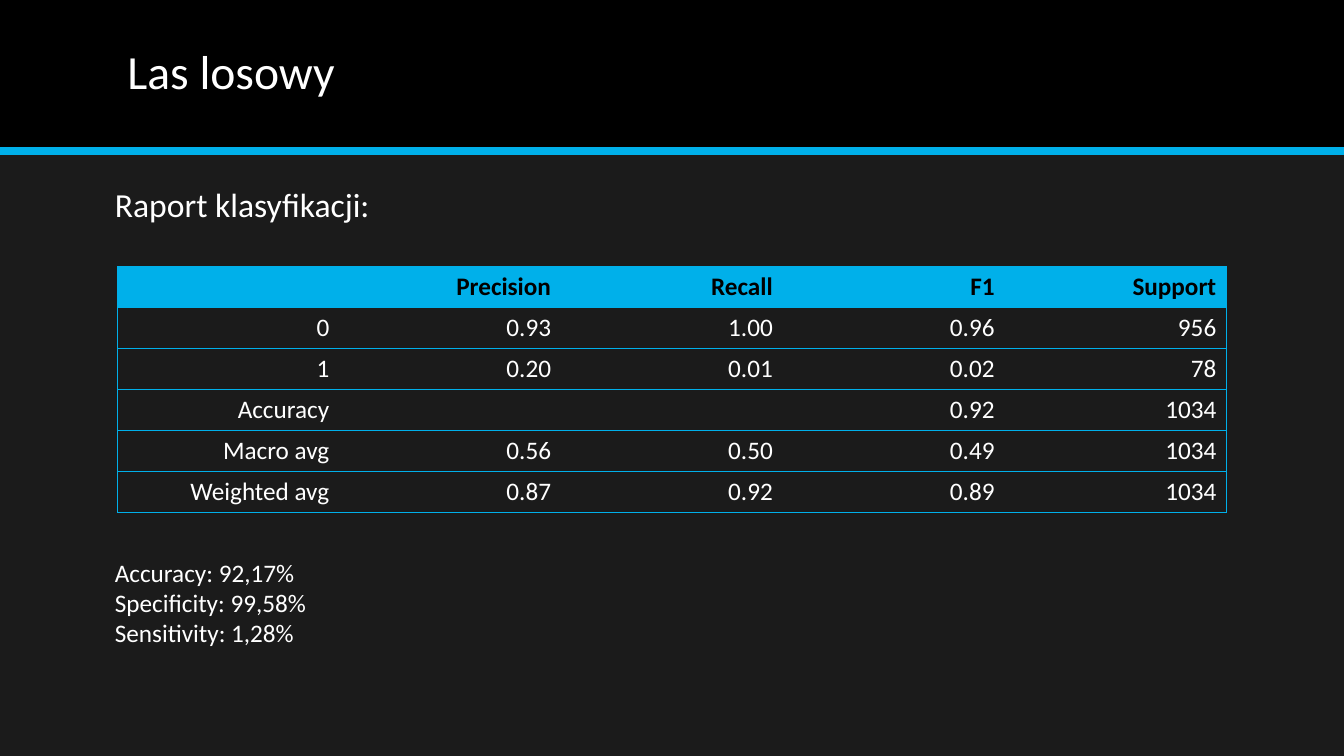
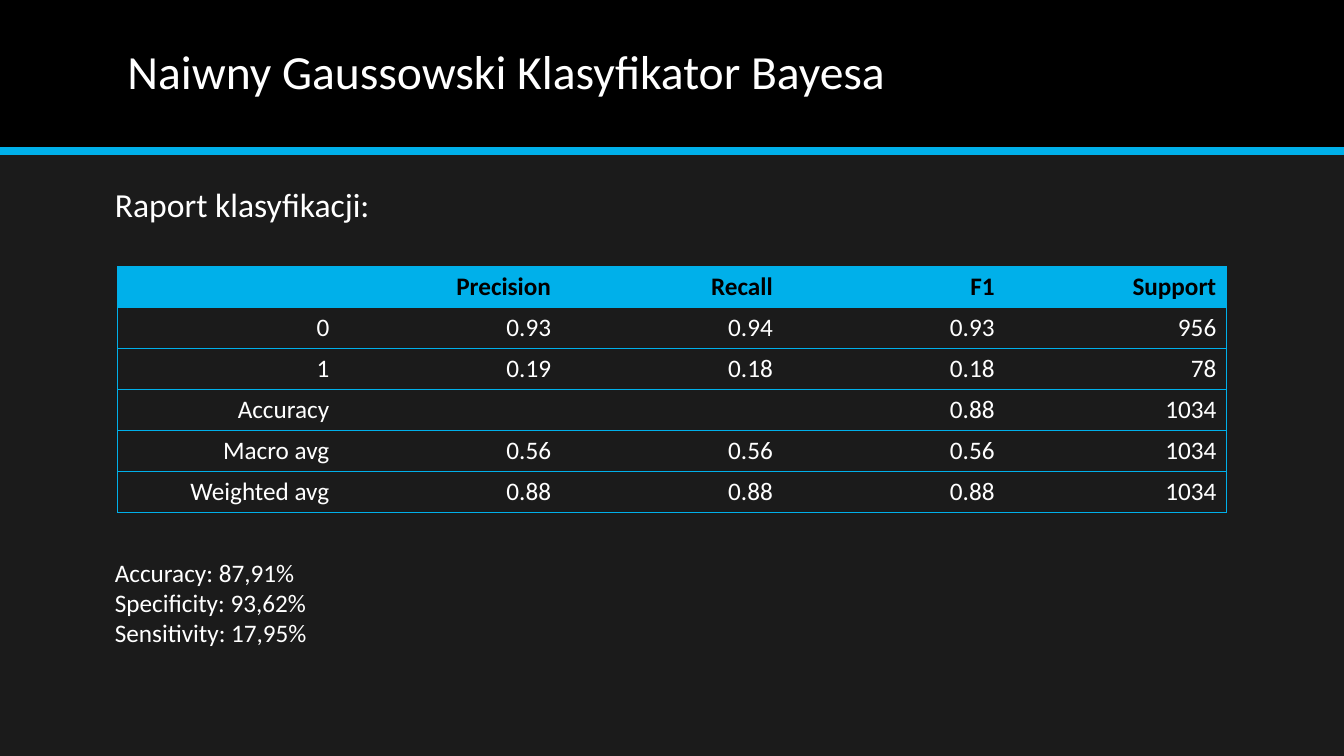
from lxml.etree import SubElement
from pptx import Presentation
from pptx.dml.color import RGBColor
from pptx.enum.shapes import MSO_CONNECTOR, MSO_SHAPE
from pptx.enum.text import MSO_ANCHOR, PP_ALIGN
from pptx.oxml.ns import qn
from pptx.util import Emu, Pt

PX = 9525
SLIDE_W, SLIDE_H = 1280, 720
HEADER_BOX = (0, 0, SLIDE_W, 144)
HEADING_BOX = (100, 170, 1068, 48)
TABLE_BOX = (112, 254, 1056, 234)
METRICS_BOX = (100, 526, 1056, 97)

FONT = "Calibri"
BACKGROUND = "1B1B1B"
BLACK = "000000"
WHITE = "FFFFFF"
ACCENT = "00B0EA"

COLUMNS = ["", "Precision", "Recall", "F1", "Support"]
REPORTS = [
    {
        "title": "Las losowy",
        "rows": [
            ["0", "0.93", "1.00", "0.96", "956"],
            ["1", "0.20", "0.01", "0.02", "78"],
            ["Accuracy", "", "", "0.92", "1034"],
            ["Macro avg", "0.56", "0.50", "0.49", "1034"],
            ["Weighted avg", "0.87", "0.92", "0.89", "1034"],
        ],
        "metrics": ["Accuracy: 92,17%", "Specificity: 99,58%", "Sensitivity: 1,28%"],
    },
    {
        "title": "Naiwny Gaussowski Klasyfikator Bayesa",
        "rows": [
            ["0", "0.93", "0.94", "0.93", "956"],
            ["1", "0.19", "0.18", "0.18", "78"],
            ["Accuracy", "", "", "0.88", "1034"],
            ["Macro avg", "0.56", "0.56", "0.56", "1034"],
            ["Weighted avg", "0.88", "0.88", "0.88", "1034"],
        ],
        "metrics": ["Accuracy: 87,91%", "Specificity: 93,62%", "Sensitivity: 17,95%"],
    },
]


def px(*lengths):
    return [Emu(round(n * PX)) for n in lengths]


def rgb(color):
    return RGBColor.from_string(color)


def style(p, size, color=WHITE, bold=False):
    p.font.name = FONT
    p.font.size = Pt(size)
    p.font.bold = bold
    p.font.color.rgb = rgb(color)


def add_text(slide, box, lines, size, anchor=MSO_ANCHOR.TOP, spacing=None):
    tf = slide.shapes.add_textbox(*px(*box)).text_frame
    tf.word_wrap = True
    tf.vertical_anchor = anchor
    tf.text = "\n".join(lines)
    for p in tf.paragraphs:
        p.line_spacing = spacing
        style(p, size)


def add_header(slide, box, title):
    x, y, w, h = box
    band = slide.shapes.add_shape(MSO_SHAPE.RECTANGLE, *px(*box))
    band.shadow.inherit = False
    band.fill.solid()
    band.fill.fore_color.rgb = rgb(BLACK)
    band.line.fill.background()
    rule = slide.shapes.add_connector(MSO_CONNECTOR.STRAIGHT, *px(x, y + h, x + w, y + h))
    rule.line.color.rgb = rgb(ACCENT)
    rule.line.width = Pt(6)
    SubElement(rule._element.spPr, qn("a:effectLst"))
    add_text(slide, (x + 112, y + 13, w - 224, h - 29), [title], 34, MSO_ANCHOR.MIDDLE, 0.9)


def set_borders(cell, visible):
    tcPr = cell._tc.get_or_add_tcPr()
    for side in "LRTB":
        ln = SubElement(tcPr, qn(f"a:ln{side}"), w=str(Pt(0.5)))
        if side in visible:
            fill = SubElement(ln, qn("a:solidFill"))
            SubElement(fill, qn("a:srgbClr"), val=ACCENT)
        else:
            SubElement(ln, qn("a:noFill"))


def add_report_table(slide, box, rows):
    data = [COLUMNS] + rows
    last = len(COLUMNS) - 1
    table = slide.shapes.add_table(len(data), len(COLUMNS), *px(*box)).table
    table.horz_banding = False
    for i, values in enumerate(data):
        header = i == 0
        for j, value in enumerate(values):
            cell = table.cell(i, j)
            set_borders(cell, "TB" + ("L" if j == 0 else "") + ("R" if j == last else ""))
            if header:
                cell.fill.solid()
                cell.fill.fore_color.rgb = rgb(ACCENT)
            else:
                cell.fill.background()
            cell.text = value
            p = cell.text_frame.paragraphs[0]
            p.alignment = PP_ALIGN.RIGHT
            style(p, 18, BLACK if header else WHITE, header)


def add_report_slide(prs, report):
    slide = prs.slides.add_slide(prs.slide_layouts[6])
    add_header(slide, HEADER_BOX, report["title"])
    add_report_table(slide, TABLE_BOX, report["rows"])
    add_text(slide, METRICS_BOX, report["metrics"], 18)
    add_text(slide, HEADING_BOX, ["Raport klasyfikacji:"], 24)


def main():
    prs = Presentation()
    prs.slide_width, prs.slide_height = px(SLIDE_W, SLIDE_H)
    fill = prs.slide_master.background.fill
    fill.solid()
    fill.fore_color.rgb = rgb(BACKGROUND)
    for report in REPORTS:
        add_report_slide(prs, report)
    prs.save("out.pptx")


if __name__ == "__main__":
    main()
